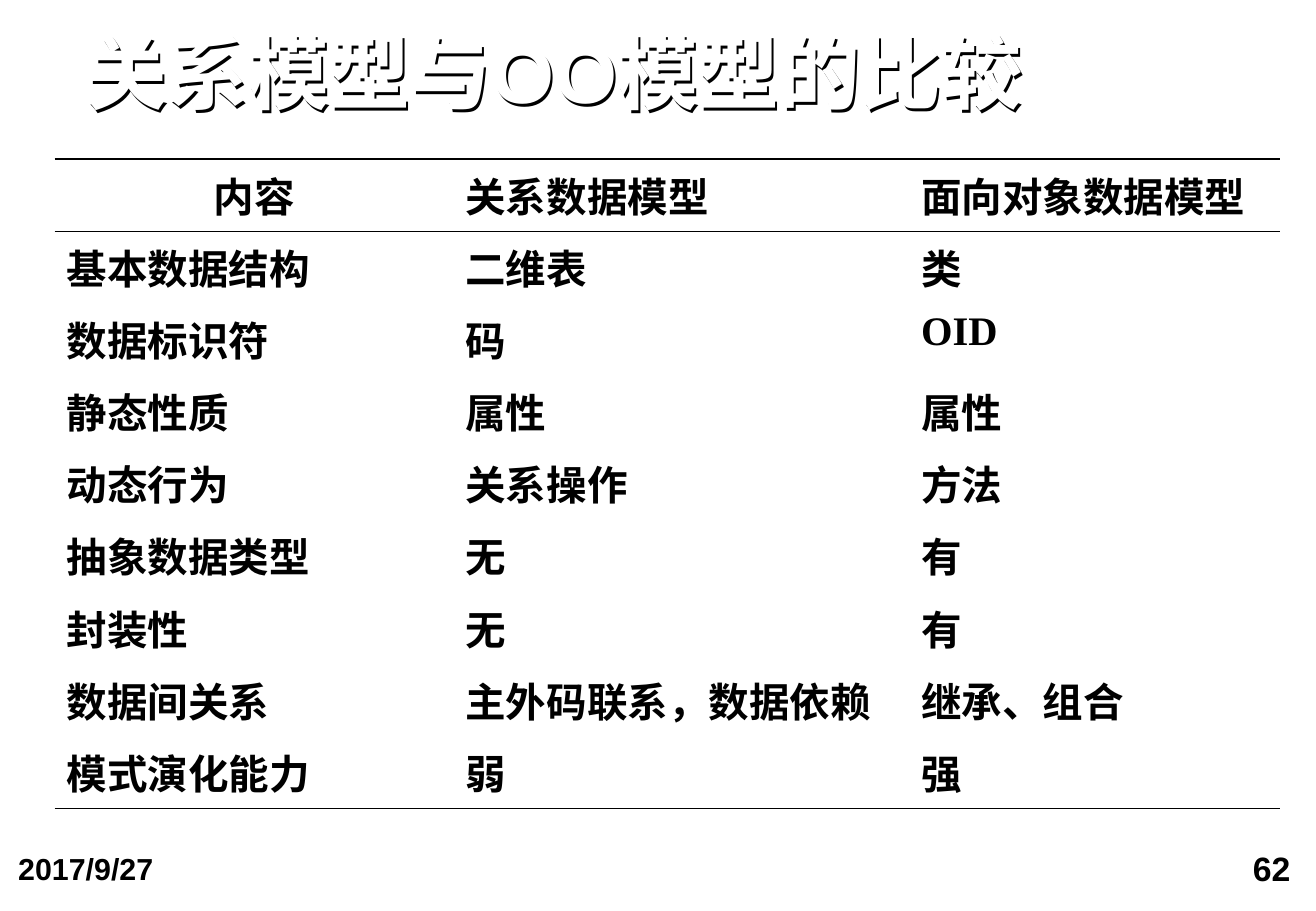
from dataclasses import dataclass

import lxml.etree
import pptx
import pptx.dml.color
import pptx.enum.text
import pptx.oxml
import pptx.oxml.ns
import pptx.util

ALIGN = pptx.enum.text.PP_ALIGN
ANCHOR = pptx.enum.text.MSO_ANCHOR
SLIDE_WIDTH = pptx.util.Inches(10.83)
SLIDE_HEIGHT = pptx.util.Inches(7.5)


@dataclass(frozen=True)
class Theme:
    ink: str = "000000"
    paper: str = "FFFFFF"
    sans: str = "Arial"
    serif: str = "Times New Roman"
    title: int = 48
    body: int = 24
    number: int = 20
    date: int = 18
    rule: int = 1
    title_shadow: int = 2


THEME = Theme()
COLUMN_SHARES = (30.29, 34.63, 28.16)
COMPARISON = (
    ("内容", "关系数据模型", "面向对象数据模型"),
    ("基本数据结构", "二维表", "类"),
    ("数据标识符", "码", "OID"),
    ("静态性质", "属性", "属性"),
    ("动态行为", "关系操作", "方法"),
    ("抽象数据类型", "无", "有"),
    ("封装性", "无", "有"),
    ("数据间关系", "主外码联系，数据依赖", "继承、组合"),
    ("模式演化能力", "弱", "强"),
)


def across(percent):
    return round(SLIDE_WIDTH * percent / 100)


def down(percent):
    return round(SLIDE_HEIGHT * percent / 100)


def write(frame, words, size, font, color, align=ALIGN.LEFT):
    frame.text = words
    paragraph = frame.paragraphs[0]
    paragraph.alignment = align
    letters = paragraph.runs[0].font
    letters.name = font
    letters.size = pptx.util.Pt(size)
    letters.bold = True
    letters.color.rgb = pptx.dml.color.RGBColor.from_string(color)


def add_label(slide, words, area, size, color=THEME.ink, align=ALIGN.LEFT, inset=(0.13, 0.06)):
    left, top, width, height = area
    label = slide.shapes.add_textbox(across(left), down(top), across(width), down(height))
    frame = label.text_frame
    frame.word_wrap = True
    frame.margin_left = frame.margin_right = pptx.util.Inches(inset[0])
    frame.margin_top = frame.margin_bottom = pptx.util.Inches(inset[1])
    write(frame, words, size, THEME.sans, color, align)
    return label


def add_title(slide, words):
    title = add_label(slide, words, (6.56, 3.6, 89.1, 9.73), THEME.title, THEME.paper, inset=(0, 0))
    title.text_frame.vertical_anchor = ANCHOR.BOTTOM
    title.text_frame.paragraphs[0].line_spacing = 0.9
    distance = pptx.util.Pt(THEME.title_shadow)
    title._element.spPr.append(pptx.oxml.parse_xml(
        f'<a:effectLst {pptx.oxml.ns.nsdecls("a")}>'
        f'<a:outerShdw dist="{distance}" dir="2700000" algn="ctr" rotWithShape="0">'
        f'<a:srgbClr val="{THEME.ink}"/></a:outerShdw></a:effectLst>'
    ))


def add_borders(cell, ruled_sides):
    properties = cell._tc.get_or_add_tcPr()
    for side in "LRTB":
        border = lxml.etree.SubElement(properties, pptx.oxml.ns.qn(f"a:ln{side}"))
        border.set("w", str(pptx.util.Pt(THEME.rule)))
        if side in ruled_sides:
            ink = lxml.etree.SubElement(border, pptx.oxml.ns.qn("a:solidFill"))
            lxml.etree.SubElement(ink, pptx.oxml.ns.qn("a:srgbClr")).set("val", THEME.ink)
        else:
            lxml.etree.SubElement(border, pptx.oxml.ns.qn("a:noFill"))


def add_comparison(slide, rows):
    last = len(rows) - 1
    table = slide.shapes.add_table(
        len(rows), len(COLUMN_SHARES),
        across(4.16), down(17.47), across(sum(COLUMN_SHARES)), down(71.33),
    ).table
    table.first_row = False
    table.horz_banding = False
    for column, share in zip(table.columns, COLUMN_SHARES):
        column.width = across(share)
    ruled_sides = {0: "TB", 1: "T", last: "B"}
    for r, entries in enumerate(rows):
        for c, words in enumerate(entries):
            cell = table.cell(r, c)
            align = ALIGN.CENTER if r == c == 0 else ALIGN.LEFT
            write(cell.text_frame, words, THEME.body, THEME.serif, THEME.ink, align)
            add_borders(cell, ruled_sides.get(r, ""))
            cell.fill.background()


def main():
    deck = pptx.Presentation()
    deck.slide_width = SLIDE_WIDTH
    deck.slide_height = SLIDE_HEIGHT
    slide = deck.slides.add_slide(deck.slide_layouts[6])
    add_title(slide, "关系模型与OO模型的比较")
    add_label(slide, "62", (73.96, 92.27, 25.3, 7.73), THEME.number, align=ALIGN.RIGHT)
    add_label(slide, "2017/9/27", (0.18, 92.53, 23.18, 7.47), THEME.date)
    add_comparison(slide, COMPARISON)
    deck.save("out.pptx")


if __name__ == "__main__":
    main()
